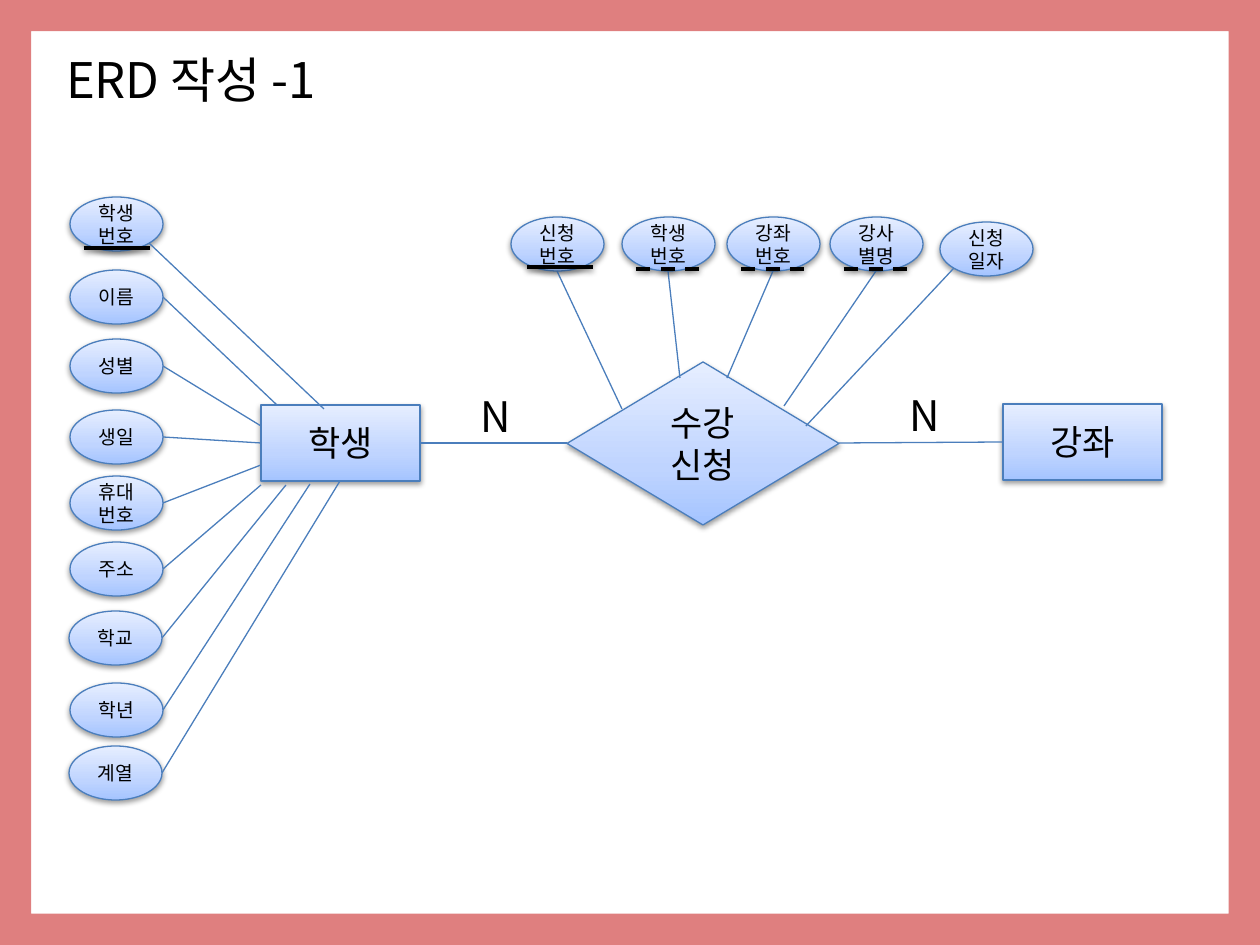
from lxml import etree
from pptx import Presentation
from pptx.dml.color import RGBColor
from pptx.enum import dml, shapes, text
from pptx.oxml import ns, parse_xml
from pptx.util import Emu, Pt

SCALE = 914400 / 126
FONT = "Noto Sans CJK KR"
HUES = {"text": "000000", "line": "4B7EBC", "frame": "C00000",
        "low": "A4C4FF", "mid": "BFD4FF", "high": "E6EEFF"}
OVAL = (93, 54)
KIND = shapes.MSO_SHAPE

# name, left, top, line end, line start if not at the right edge
STUDENT = [
    ("학생번호", 70, 197, (324, 409), (149, 243)),
    ("이름", 70, 270, (277, 405), None),
    ("성별", 70, 339, (261, 426), None),
    ("생일", 70, 410, (261, 443), None),
    ("휴대번호", 70, 476, (261, 465), None),
    ("주소", 70, 542, (261, 485), None),
    ("학교", 69, 611, (286, 485), None),
    ("학년", 70, 683, (310, 484), None),
    ("계열", 69, 746, (340, 481), None),
]
# the same, with the line starting at the bottom edge
ENROL = [
    ("신청번호", 511, 217, (622, 409), None),
    ("학생번호", 622, 217, (680, 378), None),
    ("강좌번호", 727, 217, (727, 378), None),
    ("강사\n별명", 830, 217, (784, 406), None),
    ("신청일자", 940, 222, (806, 426), (954, 268)),
]
KEYS = [(84, 248, False), (527, 267, False),
        (636, 269, True), (741, 269, True), (844, 269, True)]


def px(*nums):
    """Turn px into EMU."""
    return [Emu(round(n * SCALE)) for n in nums]


def hue(name):
    """Look up a colour."""
    return RGBColor.from_string(HUES[name])


def shade(props):
    """Give shape properties the soft drop shadow."""
    props.append(parse_xml(
        f'<a:effectLst {ns.nsdecls("a")}><a:outerShdw blurRad="40000" dist="20000" '
        'dir="5400000" rotWithShape="0"><a:srgbClr val="000000">'
        '<a:alpha val="38000"/></a:srgbClr></a:outerShdw></a:effectLst>'))


def write(shape, words, size, align):
    """Set and format the text of a shape."""
    frame = shape.text_frame
    frame.text = words
    frame.vertical_anchor = text.MSO_ANCHOR.MIDDLE
    for para in frame.paragraphs:
        para.alignment = align
        for run in para.runs:
            run.font.size = Pt(size)
            run.font.color.rgb = hue("text")
            run.font.name = FONT
            etree.SubElement(run.font._element, ns.qn("a:ea"), typeface=FONT)


def node(slide, kind, box, words, size):
    """Add a gradient shape with centred text."""
    shape = slide.shapes.add_shape(kind, *px(*box))
    stops = "".join(
        f'<a:gs pos="{pos}"><a:srgbClr val="{HUES[name]}"/></a:gs>'
        for pos, name in ((0, "low"), (35000, "mid"), (100000, "high")))
    props = shape._element.spPr
    props.append(parse_xml(
        f'<a:gradFill {ns.nsdecls("a")} rotWithShape="1"><a:gsLst>{stops}</a:gsLst>'
        '<a:lin ang="16200000" scaled="0"/></a:gradFill>'))
    shape.line.color.rgb = hue("line")
    shape.line.width = Pt(0.75)
    shade(props)
    write(shape, words, size, text.PP_ALIGN.CENTER)


def link(slide, start, end, name="line", width=0.75):
    """Add a straight line without a shadow."""
    line = slide.shapes.add_connector(shapes.MSO_CONNECTOR.STRAIGHT, *px(*start, *end))
    line.line.color.rgb = hue(name)
    line.line.width = Pt(width)
    etree.SubElement(line._element.spPr, ns.qn("a:effectLst"))
    return line


def key(slide, left, top, dashed):
    """Underline a key attribute."""
    line = link(slide, (left, top), (left + 66, top), "text", 2)
    if dashed:
        line.line.dash_style = dml.MSO_LINE.DASH
    props = line._element.spPr
    props.remove(props.find(ns.qn("a:effectLst")))
    shade(props)


def fan(slide, items, port):
    """Add attribute ovals and their lines, which leave from the port."""
    for words, left, top, end, start in items:
        node(slide, KIND.OVAL, (left, top, *OVAL), words, 11)
        link(slide, start or (left + port[0], top + port[1]), end)


def label(slide, left, top):
    """Add a cardinality label."""
    box = slide.shapes.add_textbox(*px(left, top, 50, 63))
    box.text_frame.word_wrap = True
    write(box, "N", 24, text.PP_ALIGN.LEFT)


def border(slide):
    """Add the half-transparent frame around the slide."""
    shape = slide.shapes.add_shape(KIND.FRAME, *px(0, 0, 1260, 945))
    shape.adjustments[0] = 0.033
    shape.shadow.inherit = False
    shape.fill.solid()
    shape.fill.fore_color.rgb = hue("frame")
    tint = shape._element.spPr.find(".//" + ns.qn("a:srgbClr"))
    etree.SubElement(tint, ns.qn("a:alpha"), val="50000")
    shape.line.fill.background()


def head(slide, words):
    """Place and format the title."""
    title = slide.shapes.title
    title.left, title.top, title.width, title.height = px(24, 43, 373, 72)
    write(title, words, 28, text.PP_ALIGN.LEFT)
    frame = title.text_frame
    frame.word_wrap = False
    frame.auto_size = text.MSO_AUTO_SIZE.NONE
    frame.margin_left = px(42)[0]


def main():
    """Build the slide."""
    deck = Presentation()
    deck.slide_width, deck.slide_height = px(1260, 945)
    slide = deck.slides.add_slide(deck.slide_layouts[5])
    border(slide)
    head(slide, "ERD 작성 -1")
    node(slide, KIND.RECTANGLE, (261, 405, 159, 76), "학생", 20)
    node(slide, KIND.FLOWCHART_DECISION, (567, 362, 272, 163), "수강\n신청", 20)
    node(slide, KIND.RECTANGLE, (1003, 404, 159, 76), "강좌", 20)
    fan(slide, STUDENT, (OVAL[0], OVAL[1] // 2))
    fan(slide, ENROL, (OVAL[0] // 2, OVAL[1]))
    for item in KEYS:
        key(slide, *item)
    link(slide, (420, 443), (567, 443))
    link(slide, (839, 443), (1003, 442))
    label(slide, 468, 384)
    label(slide, 897, 383)
    deck.save("out.pptx")


if __name__ == "__main__":
    main()
